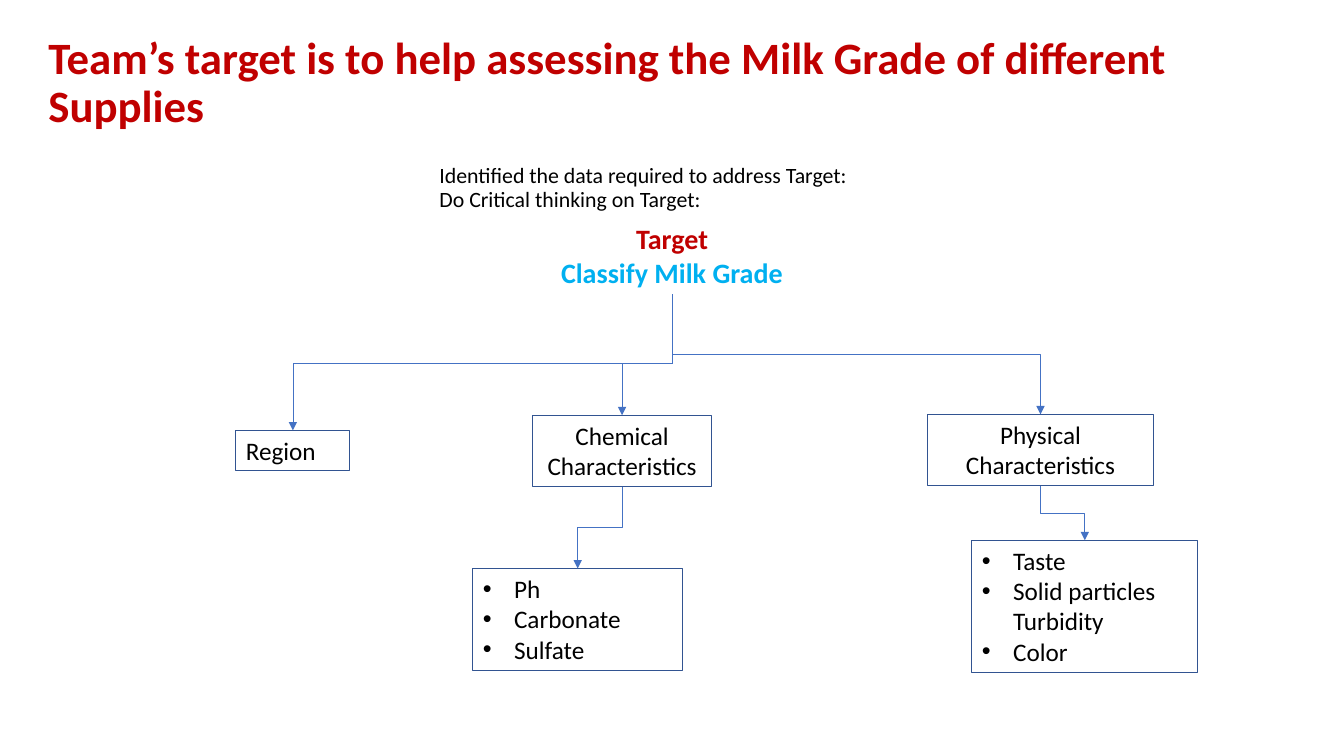
from lxml import etree
from pptx import Presentation
from pptx.dml.color import RGBColor
from pptx.enum.shapes import MSO_CONNECTOR as Connector, MSO_SHAPE as Preset
from pptx.enum.text import MSO_ANCHOR as Anchor, MSO_AUTO_SIZE as AutoSize, PP_ALIGN as Align
from pptx.oxml.ns import qn
from pptx.util import Inches, Pt

COLORS = {"red": "C00000", "sky": "00B0F0", "black": "000000",
          "border": "325491", "arrow": "4472C4"}
FONT = "Calibri"
TOP_SITE, BOTTOM_SITE = 0, 2


def color(name):
    """Return the named palette colour."""
    return RGBColor.from_string(COLORS[name])


def add_run(paragraph, text, size, color_name, bold=False):
    """Add one formatted run to a paragraph."""
    run = paragraph.add_run()
    run.text = text
    run.font.name = FONT
    run.font.size = Pt(size)
    run.font.bold = bold
    run.font.color.rgb = color(color_name)


def next_paragraph(frame, index):
    """Return the first paragraph of a frame, or a new one after it."""
    return frame.paragraphs[0] if index == 0 else frame.add_paragraph()


def add_bullet(paragraph):
    """Give a paragraph a hanging round bullet."""
    properties = paragraph._p.get_or_add_pPr()
    properties.set("marL", str(Inches(0.31)))
    properties.set("indent", str(-Inches(0.31)))
    etree.SubElement(properties, qn("a:buFont")).set("typeface", "Arial")
    etree.SubElement(properties, qn("a:buChar")).set("char", "•")


def add_title(slide, box):
    """Place the slide title in its placeholder."""
    title = slide.shapes.title
    title.left, title.top, title.width, title.height = map(Inches, box)
    frame = title.text_frame
    frame.word_wrap = True
    frame.auto_size = AutoSize.NONE
    frame.vertical_anchor = Anchor.MIDDLE
    paragraph = frame.paragraphs[0]
    paragraph.alignment = Align.LEFT
    paragraph.line_spacing = 0.9
    add_run(paragraph, "Team’s target is to help assessing the Milk Grade of different Supplies",
            32, "red", bold=True)


def add_intro(slide, box):
    """Place the two introductory lines."""
    frame = slide.shapes.add_textbox(*map(Inches, box)).text_frame
    frame.word_wrap = True
    frame.vertical_anchor = Anchor.MIDDLE
    paragraph = frame.paragraphs[0]
    paragraph.line_spacing = 0.9
    add_run(paragraph, "Identified the data required to address Target:", 15.6, "black")
    paragraph.add_line_break()
    add_run(paragraph, "Do Critical thinking on Target:", 15.6, "black")


def add_target(slide, box):
    """Place the target heading at the root of the tree."""
    shape = slide.shapes.add_textbox(*map(Inches, box))
    frame = shape.text_frame
    frame.word_wrap = True
    frame.auto_size = AutoSize.SHAPE_TO_FIT_TEXT
    for index, (text, color_name) in enumerate([("Target", "red"), ("Classify Milk Grade", "sky")]):
        paragraph = next_paragraph(frame, index)
        paragraph.alignment = Align.CENTER
        add_run(paragraph, text, 20, color_name, bold=True)
    return shape


def add_node(slide, box, lines, alignment=Align.LEFT, bulleted=False):
    """Place one outlined box of the tree."""
    shape = slide.shapes.add_shape(Preset.RECTANGLE, *map(Inches, box))
    shape.shadow.inherit = False
    shape.fill.background()
    shape.line.color.rgb = color("border")
    shape.line.width = Pt(0.75)
    frame = shape.text_frame
    frame.word_wrap = True
    frame.auto_size = AutoSize.SHAPE_TO_FIT_TEXT
    frame.vertical_anchor = Anchor.TOP
    for index, text in enumerate(lines):
        paragraph = next_paragraph(frame, index)
        paragraph.alignment = alignment
        if bulleted:
            add_bullet(paragraph)
        add_run(paragraph, text, 18, "black")
    return shape


def add_branch(slide, parent, child, bend=None):
    """Join parent to child by an elbow arrow that turns at the height bend."""
    start_x, start_y = parent.left + parent.width // 2, parent.top + parent.height
    end_x, end_y = child.left + child.width // 2, child.top
    connector = slide.shapes.add_connector(Connector.ELBOW, start_x, start_y, end_x, end_y)
    connector.begin_connect(parent, BOTTOM_SITE)
    connector.end_connect(child, TOP_SITE)
    drop, shift = end_y - start_y, abs(end_x - start_x)
    connector.left = (start_x + end_x - drop) // 2
    connector.top = (start_y + end_y - shift) // 2
    connector.width, connector.height = drop, shift
    connector.line.color.rgb = color("arrow")
    connector.line.width = Pt(0.5)

    properties = connector._element.spPr
    goes_right = end_x > start_x
    transform = properties.find(qn("a:xfrm"))
    transform.set("rot", str((270 if goes_right else 90) * 60000))
    transform.set("flipH", "1" if goes_right else "0")
    if bend is not None:
        adjustments = properties.find(qn("a:prstGeom")).get_or_add_avLst()
        guide = etree.SubElement(adjustments, qn("a:gd"))
        guide.set("name", "adj1")
        guide.set("fmla", f"val {round((Inches(bend) - start_y) / drop * 100000)}")
    etree.SubElement(properties.find(qn("a:ln")), qn("a:tailEnd")).set("type", "triangle")
    etree.SubElement(properties, qn("a:effectLst"))


def add_tree(slide, target):
    """Place the three data groups below the target and join them."""
    region = add_node(slide, (2.34, 4.27, 1.13, 0.4), ["Region"])
    chemical = add_node(slide, (5.28, 4.12, 1.78, 0.71),
                        ["Chemical Characteristics"], Align.CENTER)
    physical = add_node(slide, (9.2, 4.11, 2.24, 0.71),
                        ["Physical Characteristics"], Align.CENTER)
    chemical_list = add_node(slide, (4.69, 5.64, 2.08, 1.01),
                             ["Ph", "Carbonate", "Sulfate"], bulleted=True)
    physical_list = add_node(slide, (9.64, 5.36, 2.24, 1.31),
                             ["Taste", "Solid particles Turbidity", "Color"], bulleted=True)
    add_branch(slide, target, region, bend=3.6)
    add_branch(slide, target, chemical, bend=3.6)
    add_branch(slide, target, physical)
    add_branch(slide, chemical, chemical_list)
    add_branch(slide, physical, physical_list)


def main():
    """Build the slide and save it."""
    presentation = Presentation()
    presentation.slide_width, presentation.slide_height = Inches(13.33), Inches(7.5)
    slide = presentation.slides.add_slide(presentation.slide_layouts[5])
    add_title(slide, (0.38, 0.11, 12.57, 1.45))
    target = add_target(slide, (5.32, 2.15, 2.69, 0.77))
    add_tree(slide, target)
    add_intro(slide, (4.26, 1.41, 4.51, 0.92))
    presentation.save("out.pptx")


if __name__ == "__main__":
    main()
